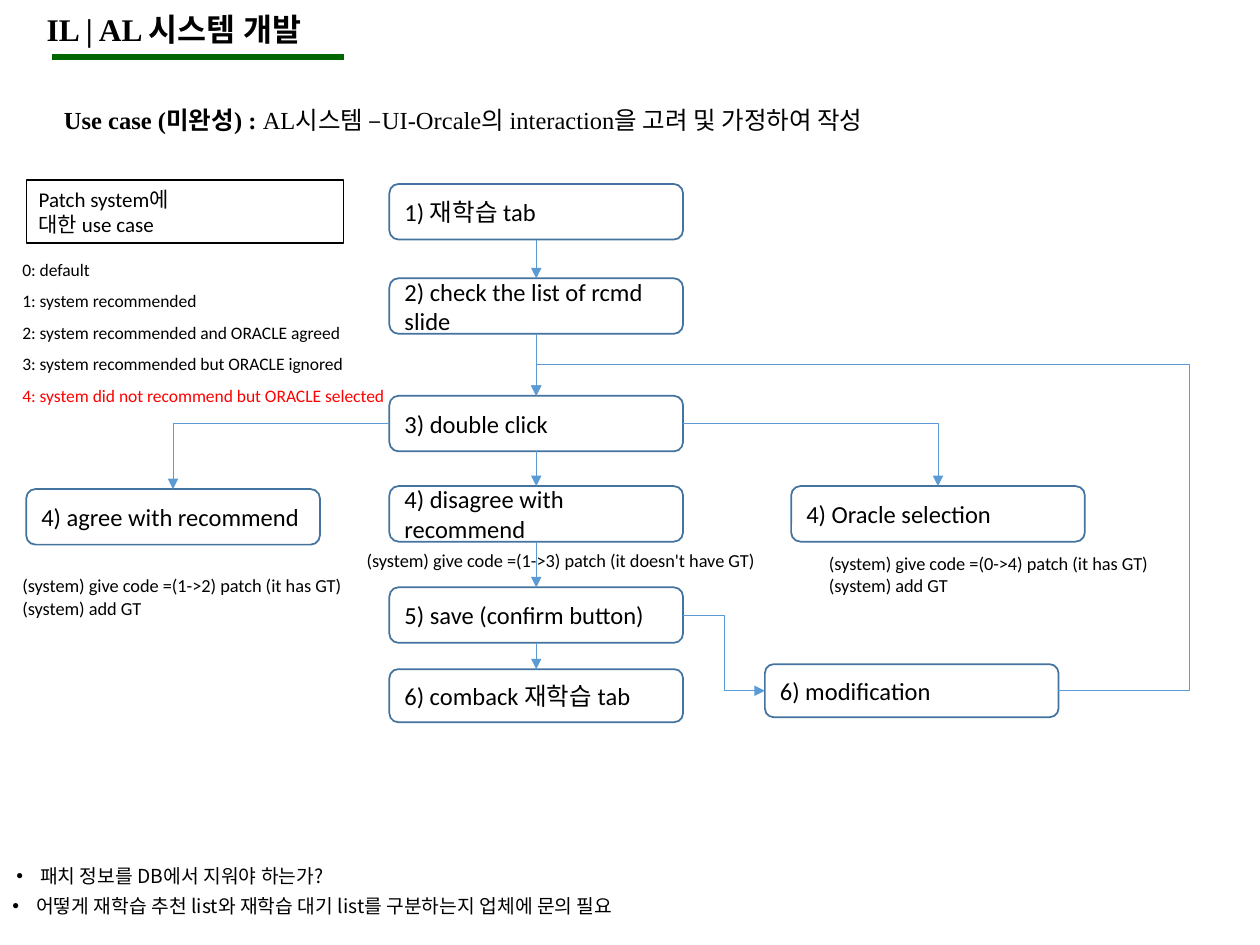
from dataclasses import dataclass

from pptx import Presentation
from pptx.dml.color import RGBColor
from pptx.enum.shapes import MSO_CONNECTOR, MSO_SHAPE
from pptx.enum.text import MSO_ANCHOR, MSO_AUTO_SIZE, PP_ALIGN
from pptx.oxml.ns import qn
from pptx.util import Cm, Pt
from lxml import etree

BLACK = RGBColor(0x00, 0x00, 0x00)
WHITE = RGBColor(0xFF, 0xFF, 0xFF)
RED = RGBColor(0xFF, 0x00, 0x00)
GREEN = RGBColor(0x00, 0x66, 0x00)
BOX_BLUE = RGBColor(0x43, 0x73, 0x9E)
ARROW_BLUE = RGBColor(0x5B, 0x9B, 0xD5)
SERIF, SANS, KOREAN = "Times New Roman", "Calibri", "Noto Sans CJK KR"
STRAIGHT, ELBOW = MSO_CONNECTOR.STRAIGHT, MSO_CONNECTOR.ELBOW
ROUNDED, RECTANGLE = MSO_SHAPE.ROUNDED_RECTANGLE, MSO_SHAPE.RECTANGLE
MIDDLE, TOP_ANCHOR, LEFT_ALIGN = MSO_ANCHOR.MIDDLE, MSO_ANCHOR.TOP, PP_ALIGN.LEFT
GROW = MSO_AUTO_SIZE.SHAPE_TO_FIT_TEXT
TOP, LEFT, BOTTOM, RIGHT = range(4)
STEP_WIDTH, STEP_HEIGHT, LAST_HEIGHT = 5.92, 1.12, 1.07
MAIN_LEFT = 7.85


@dataclass
class Step:
    name: str
    text: str
    left: float
    top: float
    height: float = STEP_HEIGHT


@dataclass
class Link:
    start: str
    start_site: int
    end: str
    end_site: int = TOP
    preset: str = "line"
    adjust: tuple[int, ...] = ()


@dataclass
class Label:
    lines: tuple[str, ...]
    left: float
    top: float
    width: float
    height: float
    size: float = 10.5
    font: str = SANS
    bold: bool = False
    spacing: float = 1.0
    bullet: bool = False


STEPS = [
    Step("tab", "1) 재학습 tab", MAIN_LEFT, 3.71),
    Step("check", "2) check the list of rcmd slide", MAIN_LEFT, 5.61),
    Step("click", "3) double click", MAIN_LEFT, 7.98),
    Step("disagree", "4) disagree with recommend", MAIN_LEFT, 9.8),
    Step("save", "5) save (confirm button)", MAIN_LEFT, 11.84),
    Step("comeback", "6) comback 재학습 tab", MAIN_LEFT, 13.49, LAST_HEIGHT),
    Step("agree", "4) agree with recommend", 0.53, 9.86),
    Step("select", "4) Oracle selection", 15.95, 9.8),
    Step("modify", "6) modification", 15.42, 13.39, LAST_HEIGHT),
]
MAIN_FLOW = [step.name for step in STEPS if step.left == MAIN_LEFT]
LINKS = [Link(start, BOTTOM, end) for start, end in zip(MAIN_FLOW, MAIN_FLOW[1:])] + [
    Link("click", LEFT, "agree", TOP, "bentConnector2"),
    Link("click", RIGHT, "select", TOP, "bentConnector2"),
    Link("save", RIGHT, "modify", LEFT, "bentConnector3", (50000,)),
    Link("modify", RIGHT, "click", TOP, "bentConnector4", (-25100, 110700)),
]
LABELS = [
    Label(("IL | AL 시스템 개발",), 0.69, 0.08, 17.68, 1.02, 18, SERIF, True),
    Label(("(system) give code =(1->2) patch (it has GT)", "(system) add GT"),
          0.2, 11.46, 7.06, 1.14),
    Label(("(system) give code =(1->3) patch (it doesn't have GT)",),
          7.14, 10.95, 10.54, 0.71),
    Label(("(system) give code =(0->4) patch (it has GT)", "(system) add GT"),
          16.46, 11.0, 7.06, 1.14),
    Label(("패치 정보를 DB에서 지워야 하는가?",),
          0.08, 17.3, 12.7, 0.74, 11, KOREAN, bullet=True),
    Label(("어떻게 재학습 추천 list와 재학습 대기 list를 구분하는지 업체에 문의 필요",),
          0, 17.91, 14.0, 0.74, 11, KOREAN, bullet=True),
]
CODES = Label(("0: default", "1: system recommended",
               "2: system recommended and ORACLE agreed",
               "3: system recommended but ORACLE ignored",
               "4: system did not recommend but ORACLE selected"),
              0.2, 4.88, 12.7, 3.4, 10, spacing=1.5)
HEADING = Label(("Use case (미완성) : ",), 1.04, 1.7, 23.62, 1.14, 14, SERIF, True, 1.5)


def add_span(para, text: str, *, size: float, font: str = SANS,
             bold: bool = False, color: RGBColor = BLACK):
    span = para.add_run()
    span.text = text
    span.font.size = Pt(size)
    span.font.name = font
    span.font.bold = bold
    span.font.color.rgb = color
    east_asian = etree.SubElement(span.font._element, qn("a:ea"))
    east_asian.set("typeface", KOREAN)
    return span


def add_bullet(para) -> None:
    properties = para._p.get_or_add_pPr()
    properties.set("marL", str(Cm(0.48)))
    properties.set("indent", str(Cm(-0.48)))
    etree.SubElement(properties, qn("a:buFont")).set("typeface", "Arial")
    etree.SubElement(properties, qn("a:buChar")).set("char", "•")


def add_label(page, label: Label):
    box = page.shapes.add_textbox(
        Cm(label.left), Cm(label.top), Cm(label.width), Cm(label.height))
    frame = box.text_frame
    frame.word_wrap = True
    frame.auto_size = GROW
    for index, line in enumerate(label.lines):
        para = frame.add_paragraph() if index else frame.paragraphs[0]
        if label.spacing != 1:
            para.line_spacing = label.spacing
        if label.bullet:
            add_bullet(para)
        add_span(para, line, size=label.size, font=label.font, bold=label.bold)
    return box


def add_box(page, preset, left: float, top: float, width: float, height: float,
            *, line: RGBColor, weight: float):
    box = page.shapes.add_shape(preset, Cm(left), Cm(top), Cm(width), Cm(height))
    box.shadow.inherit = False
    box.line.color.rgb = line
    box.line.width = Pt(weight)
    box.text_frame.word_wrap = True
    box.text_frame.paragraphs[0].alignment = LEFT_ALIGN
    return box


def add_step(page, step: Step):
    box = add_box(page, ROUNDED, step.left, step.top, STEP_WIDTH, step.height,
                  line=BOX_BLUE, weight=1)
    box.fill.solid()
    box.fill.fore_color.rgb = WHITE
    box.text_frame.vertical_anchor = MIDDLE
    add_span(box.text_frame.paragraphs[0], step.text, size=14)
    return box


def style_line(line, color: RGBColor, weight: float) -> None:
    line.line.color.rgb = color
    line.line.width = Pt(weight)
    etree.SubElement(line._element.spPr, qn("a:effectLst"))


def add_link(page, link: Link, boxes: dict) -> None:
    kind = STRAIGHT if link.preset == "line" else ELBOW
    arrow = page.shapes.add_connector(kind, 0, 0, 0, 0)
    arrow.begin_connect(boxes[link.start], link.start_site)
    arrow.end_connect(boxes[link.end], link.end_site)
    style_line(arrow, ARROW_BLUE, 0.5)
    etree.SubElement(arrow.line._get_or_add_ln(), qn("a:tailEnd")).set("type", "triangle")
    geometry = arrow._element.spPr.find(qn("a:prstGeom"))
    geometry.set("prst", link.preset)
    for number, value in enumerate(link.adjust, 1):
        guide = etree.SubElement(geometry.find(qn("a:avLst")), qn("a:gd"))
        guide.set("name", f"adj{number}" if link.preset != "line" else "adj")
        guide.set("fmla", f"val {value}")


def add_topic(page) -> None:
    box = add_box(page, RECTANGLE, 0.53, 3.63, 6.4, 1.27, line=BLACK, weight=0.75)
    box.fill.background()
    box.text_frame.vertical_anchor = TOP_ANCHOR
    box.text_frame.auto_size = GROW
    para = box.text_frame.paragraphs[0]
    add_span(para, "Patch system에 ", size=12)
    para.add_line_break()
    add_span(para, "대한 use case", size=12)


def main() -> None:
    deck = Presentation()
    deck.slide_width, deck.slide_height = Cm(25.4), Cm(19.05)
    page = deck.slides.add_slide(deck.slide_layouts[6])
    heading = add_label(page, HEADING)
    add_span(heading.text_frame.paragraphs[0],
             "AL시스템 –UI-Orcale의 interaction을 고려 및 가정하여 작성", size=14, font=SERIF)
    rule = page.shapes.add_connector(STRAIGHT, Cm(1.04), Cm(1.15), Cm(6.93), Cm(1.15))
    style_line(rule, GREEN, 3)
    boxes = {step.name: add_step(page, step) for step in STEPS}
    for link in LINKS:
        add_link(page, link, boxes)
    add_topic(page)
    for label in LABELS:
        add_label(page, label)
    codes = add_label(page, CODES)
    codes.text_frame.paragraphs[-1].runs[0].font.color.rgb = RED
    deck.save("out.pptx")


if __name__ == "__main__":
    main()
